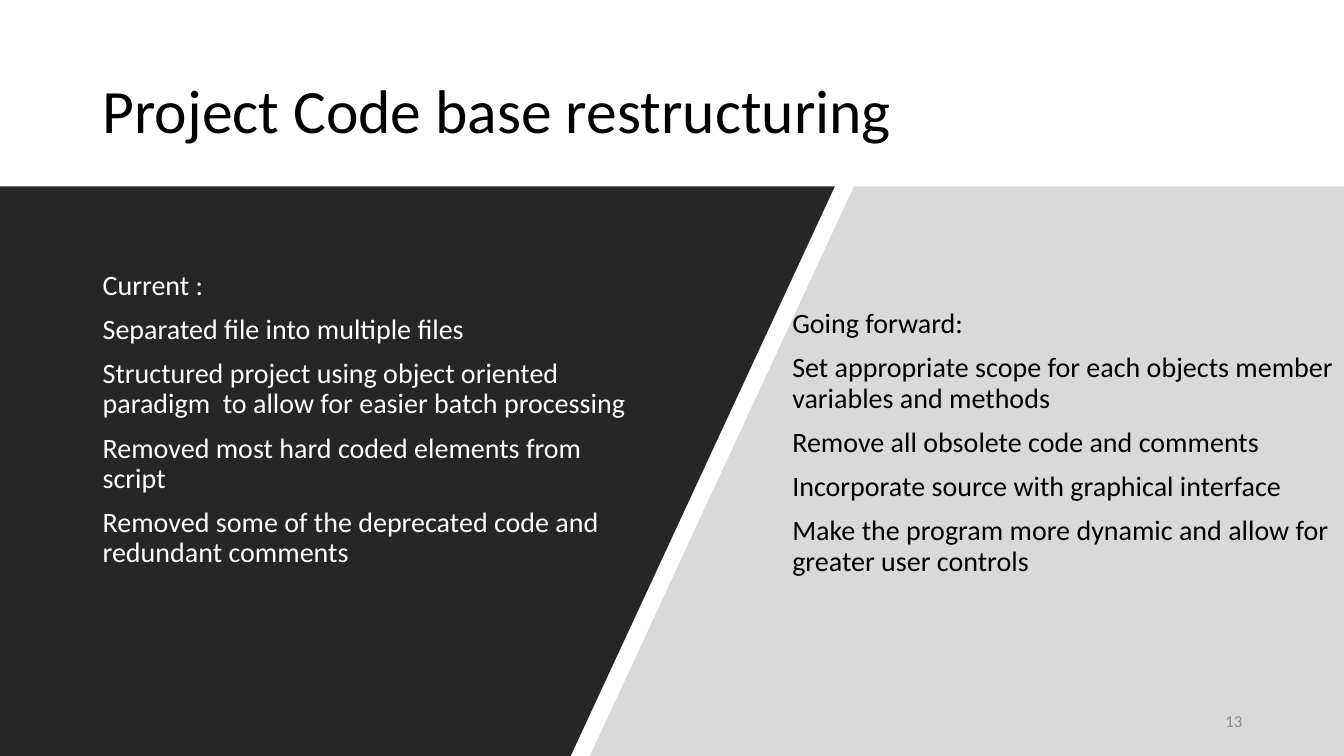
from pptx import Presentation
from pptx.dml.color import RGBColor
from pptx.enum.text import MSO_ANCHOR, PP_ALIGN
from pptx.util import Inches, Pt

COLORS = {
    "dark": "262626",
    "light": "D9D9D9",
    "white": "FFFFFF",
    "black": "000000",
    "gray": "8C8C8C",
}
FONT = "Calibri"
SLIDE_W, SLIDE_H = 13.33, 7.5
BAND_TOP = 1.85
SLANT = 2.62  # how far the divider moves left from band top to slide bottom

CURRENT = [
    "Current :",
    "Separated file into multiple files",
    "Structured project using object oriented paradigm  to allow for easier batch processing",
    "Removed most hard coded elements from script",
    "Removed some of the deprecated code and redundant comments",
]
FORWARD = [
    "Going forward:",
    "Set appropriate scope for each objects member variables and methods",
    "Remove all obsolete code and comments",
    "Incorporate source with graphical interface",
    "Make the program more dynamic and allow for greater user controls",
]


def add_panel(slide, points, color):
    """Draw a filled polygon through points given in inches."""
    start, *rest = [(Inches(x), Inches(y)) for x, y in points]
    builder = slide.shapes.build_freeform(*start, scale=1.0)
    builder.add_line_segments(rest, close=True)
    sp = builder.convert_to_shape()
    sp.shadow.inherit = False
    sp.fill.solid()
    sp.fill.fore_color.rgb = RGBColor.from_string(COLORS[color])
    sp.line.fill.background()


def add_text(slide, box, lines, size, color, anchor=MSO_ANCHOR.TOP,
             align=PP_ALIGN.LEFT, before=0, spacing=0.9):
    """Place one paragraph per line in a box of left, top, width, height."""
    tf = slide.shapes.add_textbox(*map(Inches, box)).text_frame
    tf.word_wrap = True
    tf.vertical_anchor = anchor
    tf.text = "\n".join(lines)
    for p in tf.paragraphs:
        p.alignment = align
        p.line_spacing = spacing
        p.space_before = Pt(before)
        for r in p.runs:
            r.font.name = FONT
            r.font.size = Pt(size)
            r.font.color.rgb = RGBColor.from_string(COLORS[color])


def add_panels(slide, left, top, right, bottom):
    """Fill the band with a light and a dark panel split by a slanted gap."""
    dark_edge, light_edge = left + 8.28, left + 8.47
    add_panel(slide, [(light_edge, top), (right, top), (right, bottom),
                      (light_edge - SLANT, bottom)], "light")
    add_panel(slide, [(left, top), (dark_edge, top),
                      (dark_edge - SLANT, bottom), (left, bottom)], "dark")


def add_title(slide, box):
    add_text(slide, box, ["Project Code base restructuring"], 44, "black",
             anchor=MSO_ANCHOR.MIDDLE)


def add_points(slide, box, lines, color):
    add_text(slide, box, lines, 20, color, before=10)


def add_slide_number(slide, box, number):
    add_text(slide, box, [str(number)], 12, "gray", anchor=MSO_ANCHOR.MIDDLE,
             align=PP_ALIGN.RIGHT, spacing=1.0)


def main():
    prs = Presentation()
    prs.slide_width, prs.slide_height = Inches(SLIDE_W), Inches(SLIDE_H)
    slide = prs.slides.add_slide(prs.slide_layouts[6])
    slide.background.fill.solid()
    slide.background.fill.fore_color.rgb = RGBColor.from_string(COLORS["white"])

    add_panels(slide, 0, BAND_TOP, SLIDE_W, SLIDE_H)
    add_title(slide, (0.92, 0.4, 11.5, 1.45))
    add_points(slide, (0.92, 2.64, 5.57, 3.74), CURRENT, "white")
    add_slide_number(slide, (10.91, 6.95, 1.51, 0.4), 13)
    add_points(slide, (7.76, 3.02, 5.57, 3.74), FORWARD, "black")
    prs.save("out.pptx")


if __name__ == "__main__":
    main()
